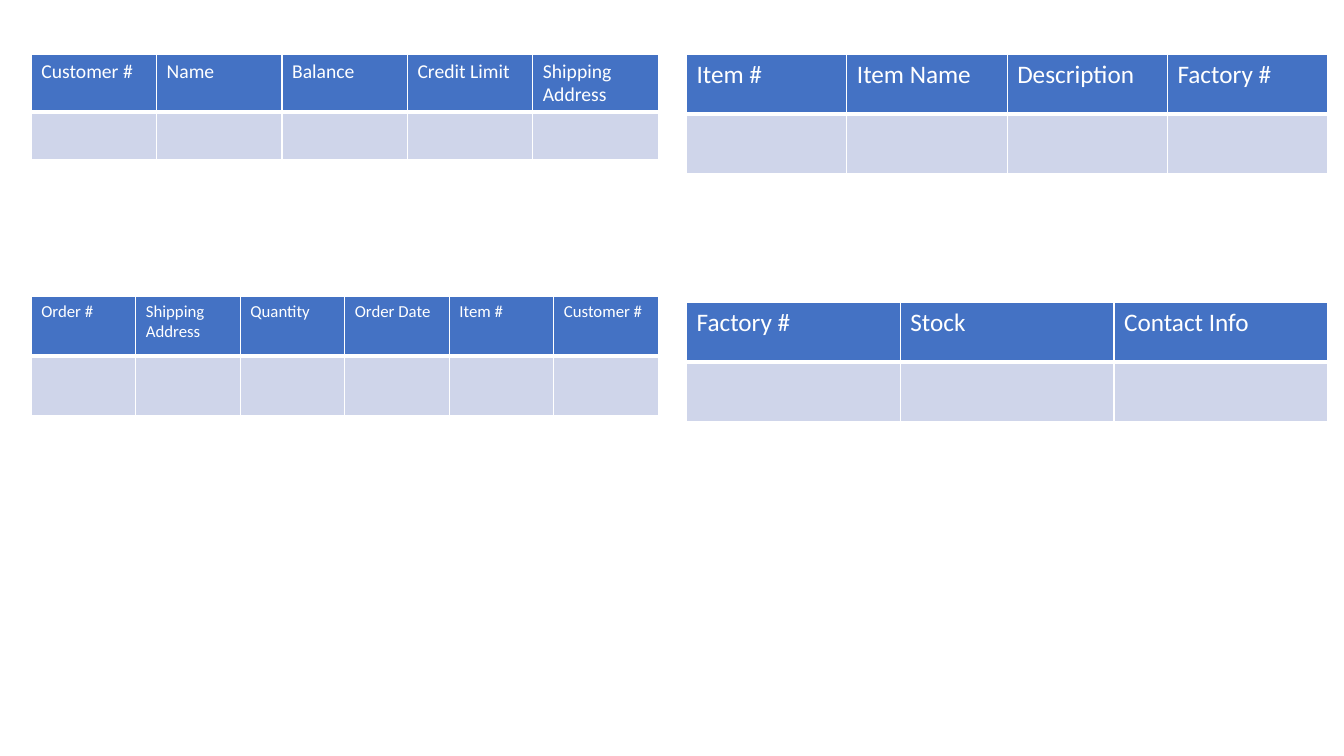
from dataclasses import dataclass

from lxml import etree
from pptx import Presentation
from pptx.dml.color import RGBColor
from pptx.oxml.ns import qn
from pptx.util import Inches, Pt

PAGE_WIDTH, PAGE_HEIGHT = 13.33, 7.5
BLANK_LAYOUT = 6
FONT = "Calibri"
COLOURS = {"header": "4472C4", "body": "CFD5EA", "white": "FFFFFF"}
SIDES = ("L", "R", "T", "B")
THIN, THICK = 1, 3

# Page grid: (left, width) of each column, in inches
LEFT_COLUMN, RIGHT_COLUMN = (0.31, 6.22), (6.81, 6.36)
TOP_ROW = 0.54
EVEN_ROWS = (0.59, 0.59)


@dataclass
class Entity:
    """A database table, shown as a header row above an empty record."""
    fields: tuple[str, ...]
    column: tuple[float, float]
    top: float
    font_size: int
    row_heights: tuple[float, float] = EVEN_ROWS


ENTITIES = (
    Entity(("Customer #", "Name", "Balance", "Credit Limit", "Shipping Address"),
           LEFT_COLUMN, TOP_ROW, 14, (0.57, 0.47)),
    Entity(("Order #", "Shipping Address", "Quantity", "Order Date", "Item #", "Customer #"),
           LEFT_COLUMN, 2.94, 12),
    Entity(("Item #", "Item Name", "Description", "Factory #"),
           RIGHT_COLUMN, TOP_ROW, 18),
    Entity(("Factory #", "Stock", "Contact Info"),
           RIGHT_COLUMN, 3.0, 18),
)


def set_borders(cell, bottom_width: int) -> None:
    """Give a cell white borders, placed ahead of its fill."""
    properties = cell._tc.get_or_add_tcPr()
    for index, side in enumerate(SIDES):
        width = bottom_width if side == "B" else THIN
        line = etree.Element(qn(f"a:ln{side}"), w=str(Pt(width)))
        fill = etree.SubElement(line, qn("a:solidFill"))
        etree.SubElement(fill, qn("a:srgbClr"), val=COLOURS["white"])
        properties.insert(index, line)


def style_cell(cell, colour: str, bottom_width: int) -> None:
    cell.fill.solid()
    cell.fill.fore_color.rgb = RGBColor.from_string(COLOURS[colour])
    set_borders(cell, bottom_width)


def write_header(cell, label: str, font_size: int) -> None:
    cell.text_frame.text = label
    font = cell.text_frame.paragraphs[0].runs[0].font
    font.name, font.size, font.bold = FONT, Pt(font_size), False
    font.color.rgb = RGBColor.from_string(COLOURS["white"])


def draw_entity(slide, entity: Entity) -> None:
    left, width = entity.column
    count = len(entity.fields)
    frame = slide.shapes.add_table(2, count, Inches(left), Inches(entity.top),
                                   Inches(width), Inches(sum(entity.row_heights)))
    table = frame.table
    for row, height in zip(table.rows, entity.row_heights):
        row.height = Inches(height)
    for index, label in enumerate(entity.fields):
        table.columns[index].width = Inches(width / count)
        write_header(table.cell(0, index), label, entity.font_size)
        style_cell(table.cell(0, index), "header", THICK)
        style_cell(table.cell(1, index), "body", THIN)


# Build the slide
deck = Presentation()
deck.slide_width, deck.slide_height = Inches(PAGE_WIDTH), Inches(PAGE_HEIGHT)
page = deck.slides.add_slide(deck.slide_layouts[BLANK_LAYOUT])
for entity in ENTITIES:
    draw_entity(page, entity)
deck.save("out.pptx")
